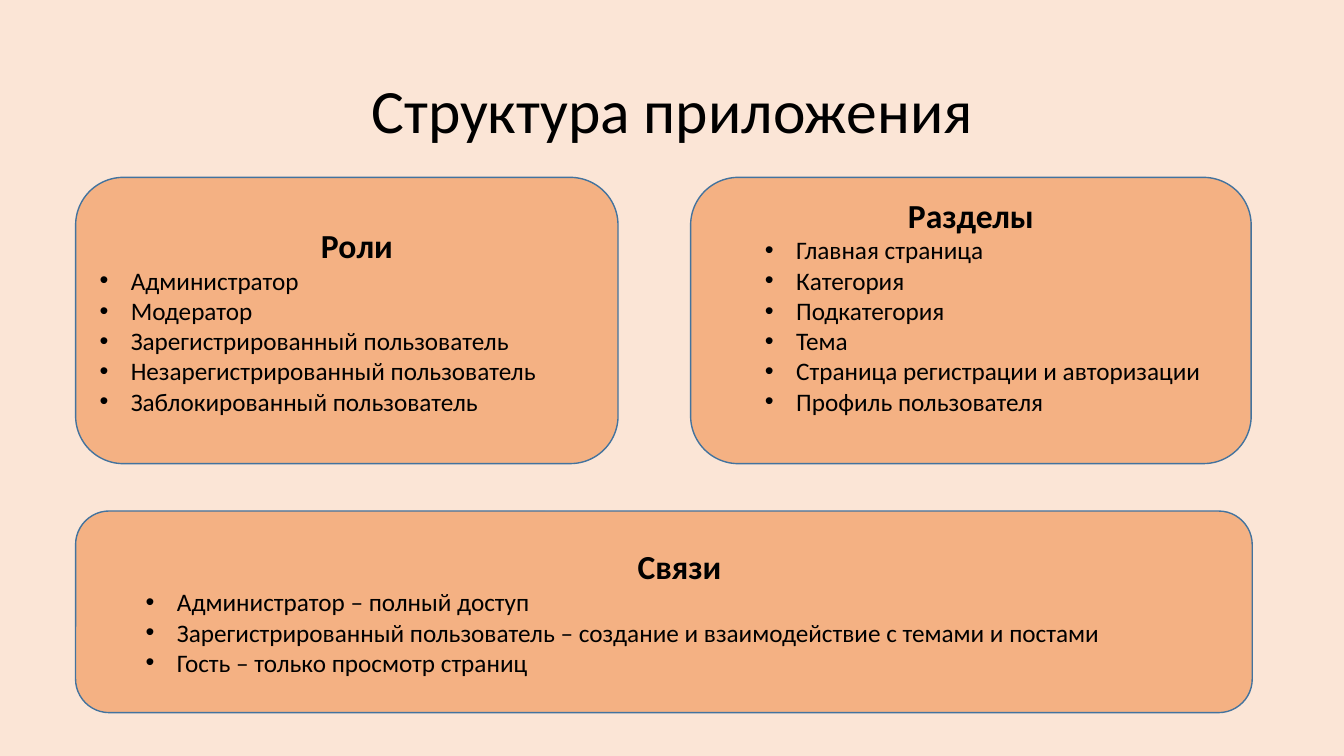
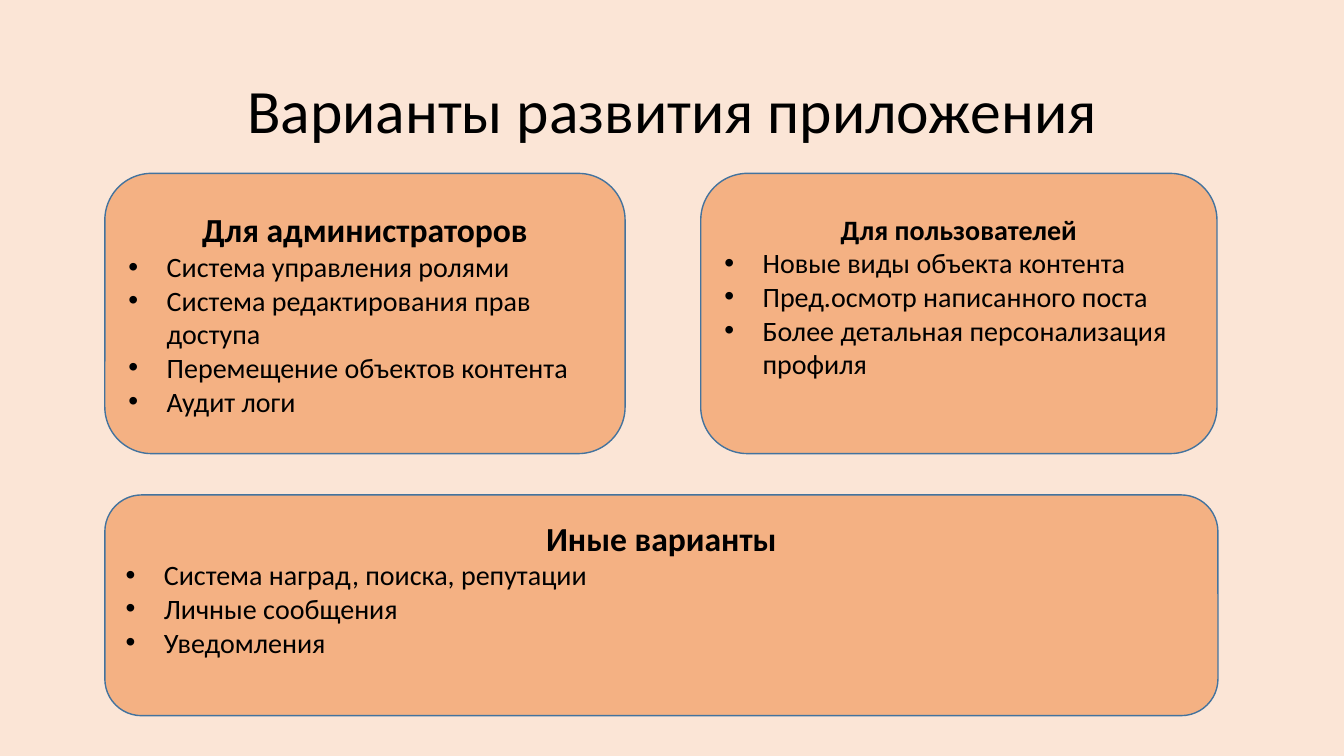
from dataclasses import dataclass

from lxml.etree import SubElement
from pptx import Presentation
from pptx.dml.color import RGBColor
from pptx.enum.shapes import MSO_SHAPE as Shape
from pptx.enum.text import MSO_ANCHOR as Anchor, PP_ALIGN as Align
from pptx.oxml.ns import qn
from pptx.util import Inches, Pt

FONT = "Calibri"
BACKGROUND, CARD_FILL, CARD_LINE, INK = "FBE5D6", "F4B183", "43739E", "000000"


@dataclass
class Card:
    heading: str
    items: list[str]
    left: float
    top: float
    width: float
    height: float
    item_size: int
    item_indent: float
    hang: float
    heading_size: int = 24
    heading_indent: float = 0
    bottom_gap: float = 0


@dataclass
class Page:
    title: str
    cards: list[Card]


PAGES = [
    Page("Структура приложения", [
        Card("Роли",
             ["Администратор", "Модератор", "Зарегистрированный пользователь",
              "Незарегистрированный пользователь", "Заблокированный пользователь"],
             0.75, 1.76, 5.38, 2.84, 18, 0.31, 0.31, heading_indent=0.2),
        Card("Разделы",
             ["Главная страница", "Категория", "Подкатегория", "Тема",
              "Страница регистрации и авторизации", "Профиль пользователя"],
             6.85, 1.76, 5.56, 2.84, 18, 0.81, 0.31, bottom_gap=0.3),
        Card("Связи",
             ["Администратор – полный доступ",
              "Зарегистрированный пользователь – создание и взаимодействие с темами и постами",
              "Гость – только просмотр страниц"],
             0.75, 5.07, 11.67, 2, 18, 0.81, 0.31, heading_indent=0.31),
    ]),
    Page("Варианты развития приложения", [
        Card("Для администраторов",
             ["Система управления ролями", "Система редактирования прав доступа",
              "Перемещение объектов контента", "Аудит логи"],
             1.04, 1.72, 5.16, 2.78, 20, 0.38, 0.38),
        Card("Для пользователей",
             ["Новые виды объекта контента", "Пред.осмотр написанного поста",
              "Более детальная персонализация профиля"],
             6.95, 1.72, 5.12, 2.78, 20, 0.38, 0.38, heading_size=20, bottom_gap=0.34),
        Card("Иные варианты",
             ["Система наград, поиска, репутации", "Личные сообщения", "Уведомления"],
             1.04, 4.91, 11.04, 2.19, 20, 0.38, 0.38, bottom_gap=0.34),
    ]),
]


def color(hex_value: str) -> RGBColor:
    return RGBColor.from_string(hex_value)


def write(paragraph, text: str, *, size: int, bold: bool = False, align=Align.LEFT,
          indent: float = 0, hang: float = 0, spacing: float = 1) -> None:
    paragraph.alignment = align
    paragraph.line_spacing = spacing
    properties = paragraph._p.get_or_add_pPr()
    properties.set("marL", str(Inches(indent)))
    properties.set("indent", str(Inches(-hang)))
    if hang:
        SubElement(properties, qn("a:buFont"), typeface="Arial")
        SubElement(properties, qn("a:buChar"), char="•")
    run = paragraph.add_run()
    run.text = text
    run.font.name = FONT
    run.font.size = Pt(size)
    run.font.bold = bold
    run.font.color.rgb = color(INK)


def add_title(slide, title: str) -> None:
    box = slide.shapes.add_textbox(Inches(0.92), Inches(0.4), Inches(11.5), Inches(1.45))
    frame = box.text_frame
    frame.word_wrap = True
    frame.vertical_anchor = Anchor.MIDDLE
    write(frame.paragraphs[0], title, size=44, align=Align.CENTER, spacing=0.9)


def add_card(slide, card: Card) -> None:
    panel = slide.shapes.add_shape(
        Shape.ROUNDED_RECTANGLE, Inches(card.left), Inches(card.top),
        Inches(card.width), Inches(card.height))
    panel.shadow.inherit = False
    panel.fill.solid()
    panel.fill.fore_color.rgb = color(CARD_FILL)
    panel.line.color.rgb = color(CARD_LINE)
    panel.line.width = Pt(1)
    frame = panel.text_frame
    frame.word_wrap = True
    frame.vertical_anchor = Anchor.MIDDLE
    frame.margin_bottom = Inches(0.05 + card.bottom_gap)
    write(frame.paragraphs[0], card.heading, size=card.heading_size, bold=True,
          align=Align.CENTER, indent=card.heading_indent)
    for item in card.items:
        write(frame.add_paragraph(), item, size=card.item_size,
              indent=card.item_indent, hang=card.hang)


def main() -> None:
    deck = Presentation()
    deck.slide_width, deck.slide_height = Inches(13.33), Inches(7.5)
    backdrop = deck.slide_master.background.fill
    backdrop.solid()
    backdrop.fore_color.rgb = color(BACKGROUND)
    for page in PAGES:
        slide = deck.slides.add_slide(deck.slide_layouts[6])
        add_title(slide, page.title)
        for card in page.cards:
            add_card(slide, card)
    deck.save("out.pptx")


if __name__ == "__main__":
    main()
